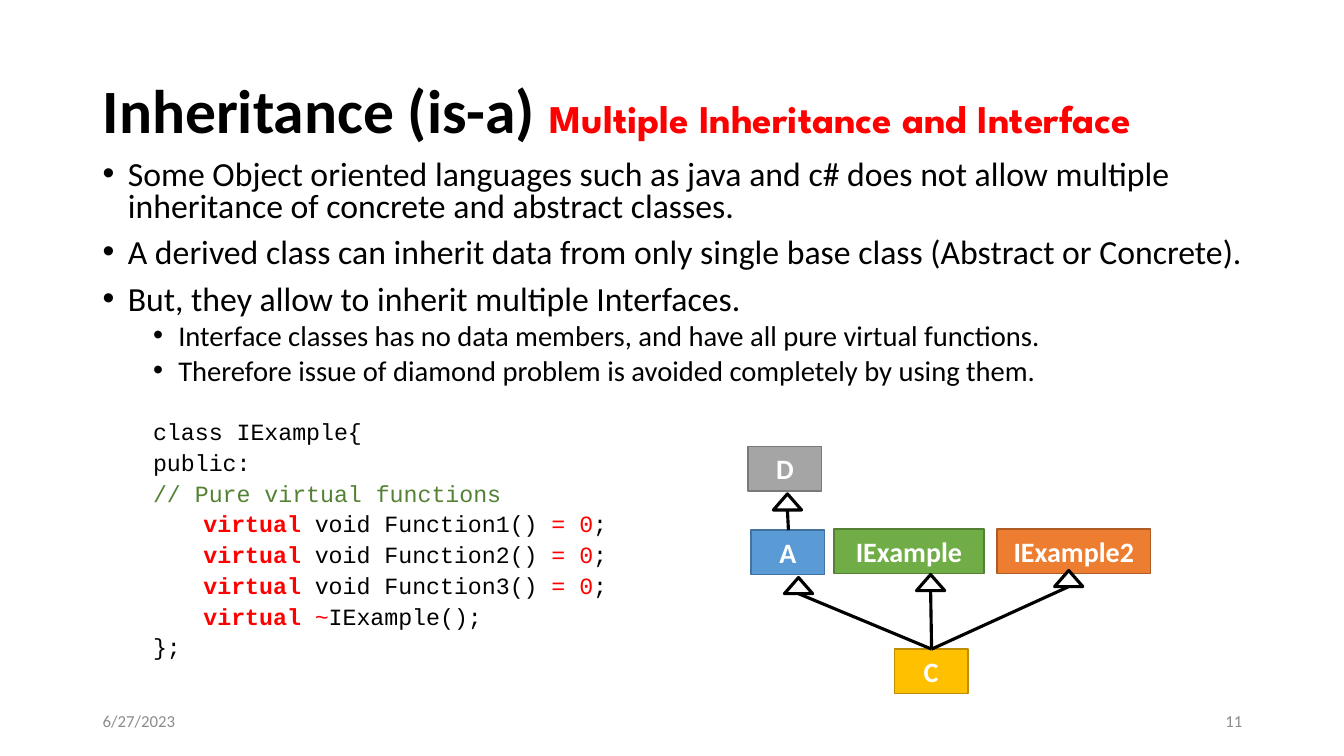
from pptx import Presentation
from pptx.dml.color import RGBColor
from pptx.enum.shapes import MSO_CONNECTOR, MSO_SHAPE
from pptx.enum.text import MSO_ANCHOR, PP_ALIGN
from pptx.oxml.ns import qn
from pptx.util import Inches, Pt
from lxml.etree import SubElement

BLACK = RGBColor(0, 0, 0)
WHITE = RGBColor(255, 255, 255)
RED = RGBColor(255, 0, 0)
GREEN = RGBColor(0x54, 0x82, 0x35)
GREY = RGBColor(0x8C, 0x8C, 0x8C)

LEFT, WIDE = 0.92, 11.5
BOX_W, BOX_H = 0.73, 0.44
TIP_W, TIP_H = 0.28, 0.16

TITLE = [("Inheritance (is-a) ", {"size": 44, "bold": True}),
         ("Multiple Inheritance and Interface",
          {"size": 28, "bold": True, "font": "League Spartan", "color": RED})]
POINTS = [
    "Some Object oriented languages such as java and c# does not allow "
    "multiple inheritance of concrete and abstract classes.",
    "A derived class can inherit data from only single base class "
    "(Abstract or Concrete).",
    "But, they allow to inherit multiple Interfaces.",
]
DETAILS = [
    "Interface classes has no data members, and have all pure virtual functions.",
    "Therefore issue of diamond problem is avoided completely by using them.",
]
KEY = {"color": RED, "bold": True}
MARK = {"color": RED}
# Each code line: indent level, then its runs
CODE = [
    (1, [("class IExample{", {})]),
    (1, [("public:", {})]),
    (1, [("// Pure virtual functions", {"color": GREEN})]),
    *[(2, [("virtual ", KEY), (f"void Function{n}() ", {}),
           ("= 0", MARK), ("; ", {})]) for n in (1, 2, 3)],
    (2, [("virtual", KEY), (" ~", MARK), ("IExample();", {})]),
    (1, [("};", {})]),
]
# Class boxes: name, left, top, width, fill, border
BOXES = [
    ("IExample2", 9.89, 5.25, 1.52, "ED7D31", "AF5C24"),
    ("A", 7.45, 5.26, BOX_W, "5B9BD5", "43739E"),
    ("IExample", 8.27, 5.25, 1.49, "70AD47", "538035"),
    ("C", 8.87, 6.44, BOX_W, "FFC000", "BD8E00"),
    ("D", 7.42, 4.43, BOX_W, "A5A5A5", "7A7A7A"),
]
# Inheritance arrows: start point, then centre and top of the hollow tip
JOINT = (9.24, 6.44)
ARROWS = [(JOINT, 7.92, 5.73), (JOINT, 9.23, 5.7),
          ((7.82, 5.26), 7.81, 4.9), (JOINT, 10.6, 5.66)]

deck = Presentation()
deck.slide_width, deck.slide_height = Inches(13.33), Inches(7.5)
slide = deck.slides.add_slide(deck.slide_layouts[6])


def write(para, text, size=12, font="Calibri", color=BLACK, bold=False):
    """Add one formatted run to a paragraph."""
    run = para.add_run()
    run.text = text
    run.font.size, run.font.name, run.font.bold = Pt(size), font, bold
    run.font.color.rgb = color


def add_box(left, top, width, height, anchor=MSO_ANCHOR.MIDDLE):
    """Add a wrapping text box and return its frame."""
    box = slide.shapes.add_textbox(*map(Inches, (left, top, width, height)))
    frame = box.text_frame
    frame.word_wrap, frame.vertical_anchor = True, anchor
    return frame


def add_para(frame, runs, level=0, space=10, left=0.0, bullet=False, **form):
    """Add a list or code paragraph at the given indent."""
    first = frame.paragraphs[0]
    para = frame.add_paragraph() if first.runs else first
    para.level, para.line_spacing, para.space_before = level, 0.8, Pt(space)
    props = para._p.get_or_add_pPr()
    props.set("marL", str(Inches(left)))
    props.set("indent", str(Inches(-0.25 if bullet else 0)))
    if bullet:
        SubElement(props, qn("a:buFont")).set("typeface", "Arial")
        SubElement(props, qn("a:buChar")).set("char", "\u2022")
    else:
        SubElement(props, qn("a:buNone"))
    for text, extra in runs:
        write(para, text, **{**form, **extra})


def add_shape(kind, left, top, width, height, fill, edge, weight):
    """Add a filled, outlined shape without a shadow."""
    shape = slide.shapes.add_shape(
        kind, *map(Inches, (left, top, width, height)))
    shape.shadow.inherit = False
    shape.fill.solid()
    shape.fill.fore_color.rgb = fill
    shape.line.color.rgb, shape.line.width = edge, Pt(weight)
    return shape


def add_arrow(start, mid, top):
    """Draw a line from start up to a hollow triangle."""
    add_shape(MSO_SHAPE.ISOSCELES_TRIANGLE, mid - TIP_W / 2, top,
              TIP_W, TIP_H, WHITE, BLACK, 2.25)
    line = slide.shapes.add_connector(
        MSO_CONNECTOR.STRAIGHT, *map(Inches, (*start, mid, top + TIP_H)))
    line.line.color.rgb, line.line.width = BLACK, Pt(2.25)
    SubElement(line._element.spPr, qn("a:effectLst"))


body = add_box(LEFT, 1.54, 11.76, 5.15, MSO_ANCHOR.TOP)
for text in POINTS:
    add_para(body, [(text, {})], left=0.25, bullet=True, size=24.1)
for text in DETAILS:
    add_para(body, [(text, {})], level=1, space=5, left=0.75, bullet=True,
             size=20.4)
for row, (level, runs) in enumerate(CODE):
    add_para(body, runs, level=level, space=6 if row else 26,
             left=level / 2, size=16.6, font="Courier New")

for text, left, align in (("6/27/2023", LEFT, PP_ALIGN.LEFT),
                          ("11", LEFT + WIDE - 3, PP_ALIGN.RIGHT)):
    para = add_box(left, 6.95, 3, 0.4).paragraphs[0]
    para.alignment = align
    write(para, text, color=GREY)

head = add_box(LEFT, 0.4, WIDE, 1.45).paragraphs[0]
head.line_spacing = 0.9
for text, form in TITLE:
    write(head, text, **form)

for name, left, top, width, fill, edge in BOXES:
    box = add_shape(MSO_SHAPE.RECTANGLE, left, top, width, BOX_H,
                    RGBColor.from_string(fill), RGBColor.from_string(edge), 1)
    box.text_frame.vertical_anchor = MSO_ANCHOR.MIDDLE
    para = box.text_frame.paragraphs[0]
    para.alignment = PP_ALIGN.CENTER
    write(para, name, size=20, color=WHITE, bold=True)

for arrow in ARROWS:
    add_arrow(*arrow)

deck.save("out.pptx")
